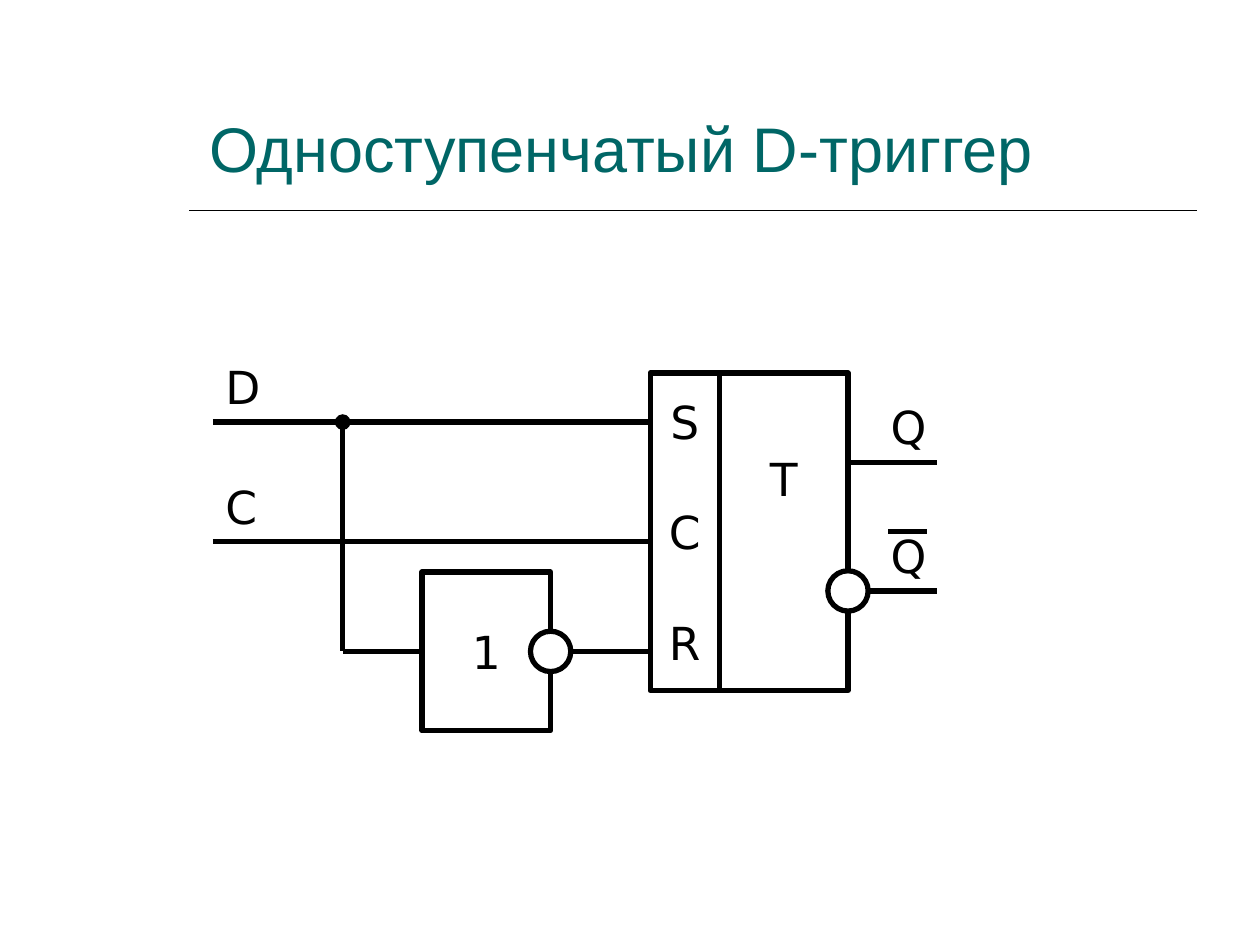
from dataclasses import dataclass

from lxml import etree
from pptx import Presentation
from pptx.dml.color import RGBColor
from pptx.enum.shapes import MSO_CONNECTOR, MSO_SHAPE
from pptx.enum.text import MSO_ANCHOR, PP_ALIGN
from pptx.oxml.ns import qn
from pptx.util import Inches, Pt

STRAIGHT = MSO_CONNECTOR.STRAIGHT
RECT, OVAL = MSO_SHAPE.RECTANGLE, MSO_SHAPE.OVAL
LEFT, CENTER = PP_ALIGN.LEFT, PP_ALIGN.CENTER
TOP, MIDDLE, BOTTOM = MSO_ANCHOR.TOP, MSO_ANCHOR.MIDDLE, MSO_ANCHOR.BOTTOM
LEFT_SIDE, RIGHT_SIDE = 1, 3


@dataclass(frozen=True)
class Theme:
    ink: RGBColor = RGBColor(0, 0, 0)
    paper: RGBColor = RGBColor(255, 255, 255)
    accent: RGBColor = RGBColor(0, 0x66, 0x66)
    title_font: str = "Arial"
    label_font: str = "DejaVu Sans"
    title_size: Pt = Pt(36)
    label_size: Pt = Pt(26)
    wire: Pt = Pt(3)
    rule: Pt = Pt(1)


THEME = Theme()
BUBBLE = 0.32


def format_text(frame, lines, font, size, color, align, anchor, gap=0):
    frame.text = "\n".join(lines)
    frame.vertical_anchor = anchor
    for index, para in enumerate(frame.paragraphs):
        para.alignment = align
        if index:
            para.space_before = Pt(gap)
        for span in para.runs:
            span.font.name = font
            span.font.size = size
            span.font.color.rgb = color


def add_line(page, x1, y1, x2, y2, width=THEME.wire):
    line = page.shapes.add_connector(
        STRAIGHT, Inches(x1), Inches(y1), Inches(x2), Inches(y2))
    line.line.color.rgb = THEME.ink
    line.line.width = width
    etree.SubElement(line._element.spPr, qn("a:effectLst"))
    return line


def add_dot(line):
    """Mark the start of a wire with a junction dot."""
    etree.SubElement(line.line._get_or_add_ln(), qn("a:headEnd"), type="oval")


def add_outlined(page, kind, x, y, width, height):
    shape = page.shapes.add_shape(
        kind, Inches(x), Inches(y), Inches(width), Inches(height))
    shape.shadow.inherit = False
    shape.fill.solid()
    shape.fill.fore_color.rgb = THEME.paper
    shape.line.color.rgb = THEME.ink
    shape.line.width = THEME.wire
    return shape


def add_block(page, x, y, width, height, lines, gap=0, raise_by=0):
    block = add_outlined(page, RECT, x, y, width, height)
    frame = block.text_frame
    frame.word_wrap = False
    # Extra room below lifts the centred text by half as much
    frame.margin_bottom = Inches(0.05 + 2 * raise_by)
    format_text(frame, lines, THEME.label_font, THEME.label_size,
                THEME.ink, CENTER, MIDDLE, gap)
    return block


def add_bubble(page, x, y):
    """Draw an inversion circle centred on a point."""
    add_outlined(page, OVAL, x - BUBBLE / 2, y - BUBBLE / 2, BUBBLE, BUBBLE)


def add_label(page, x, y, text):
    box = page.shapes.add_textbox(
        Inches(x), Inches(y), Inches(0.71), Inches(0.54))
    box.text_frame.word_wrap = True
    format_text(box.text_frame, [text], THEME.label_font, THEME.label_size,
                THEME.ink, LEFT, TOP)


def draw_title(page, x, y, width, height, text):
    title = page.shapes.title
    title.left, title.top = Inches(x), Inches(y)
    title.width, title.height = Inches(width), Inches(height)
    format_text(title.text_frame, [text], THEME.title_font, THEME.title_size,
                THEME.accent, LEFT, BOTTOM)
    rule_y = y + height + 0.15
    add_line(page, x - 0.06, rule_y, x + width + 0.06, rule_y, THEME.rule)


def draw_flip_flop(page, x, y, width, height):
    """Input column, main body and the two outputs."""
    column, body = 0.55, 1.02
    body_x, out_x = x + column, x + column + body
    add_block(page, x, y, column, height, ["S", "C", "R"], gap=32)
    add_block(page, body_x, y, body, height, ["T"], raise_by=0.42)
    for out_y in (y + 0.71, y + 1.73):
        add_line(page, out_x, out_y, x + width, out_y)
        add_label(page, out_x + 0.24, out_y - 0.55, "Q")
    # Inverted output: circle and bar over Q
    add_bubble(page, out_x, out_y)
    add_line(page, out_x + 0.32, out_y - 0.47, out_x + 0.63, out_y - 0.47)


def draw_inputs(page, x, y, width):
    """Wires D and C into the flip-flop, with D inverted for R."""
    end_x, branch_x = x + width, x + 1.03
    for text, wire_y in (("D", y), ("С", y + 0.95)):
        add_line(page, x, wire_y, end_x, wire_y)
        add_label(page, x, wire_y - 0.55, text)

    inverter_x, inverter_width, inverter_height = x + 1.66, 1.02, 1.26
    low_y = y + 1.82
    inverter = add_block(page, inverter_x, low_y - inverter_height / 2,
                         inverter_width, inverter_height, ["1"])
    add_dot(add_line(page, branch_x, y, branch_x, low_y))
    feed = add_line(page, branch_x, low_y, inverter_x, low_y)
    feed.end_connect(inverter, LEFT_SIDE)
    inverter_end = inverter_x + inverter_width
    reset = add_line(page, inverter_end, low_y, end_x, low_y)
    reset.begin_connect(inverter, RIGHT_SIDE)
    add_bubble(page, inverter_end, low_y)


def main():
    deck = Presentation()
    deck.slide_width, deck.slide_height = Inches(10), Inches(7.5)
    page = deck.slides.add_slide(deck.slide_layouts[5])
    draw_title(page, 1.56, 0.39, 7.88, 1.13, "Одноступенчатый D-триггер")
    draw_flip_flop(page, 5.16, 2.96, 2.28, 2.52)
    draw_inputs(page, 1.69, 3.35, 3.47)
    deck.save("out.pptx")


if __name__ == "__main__":
    main()
